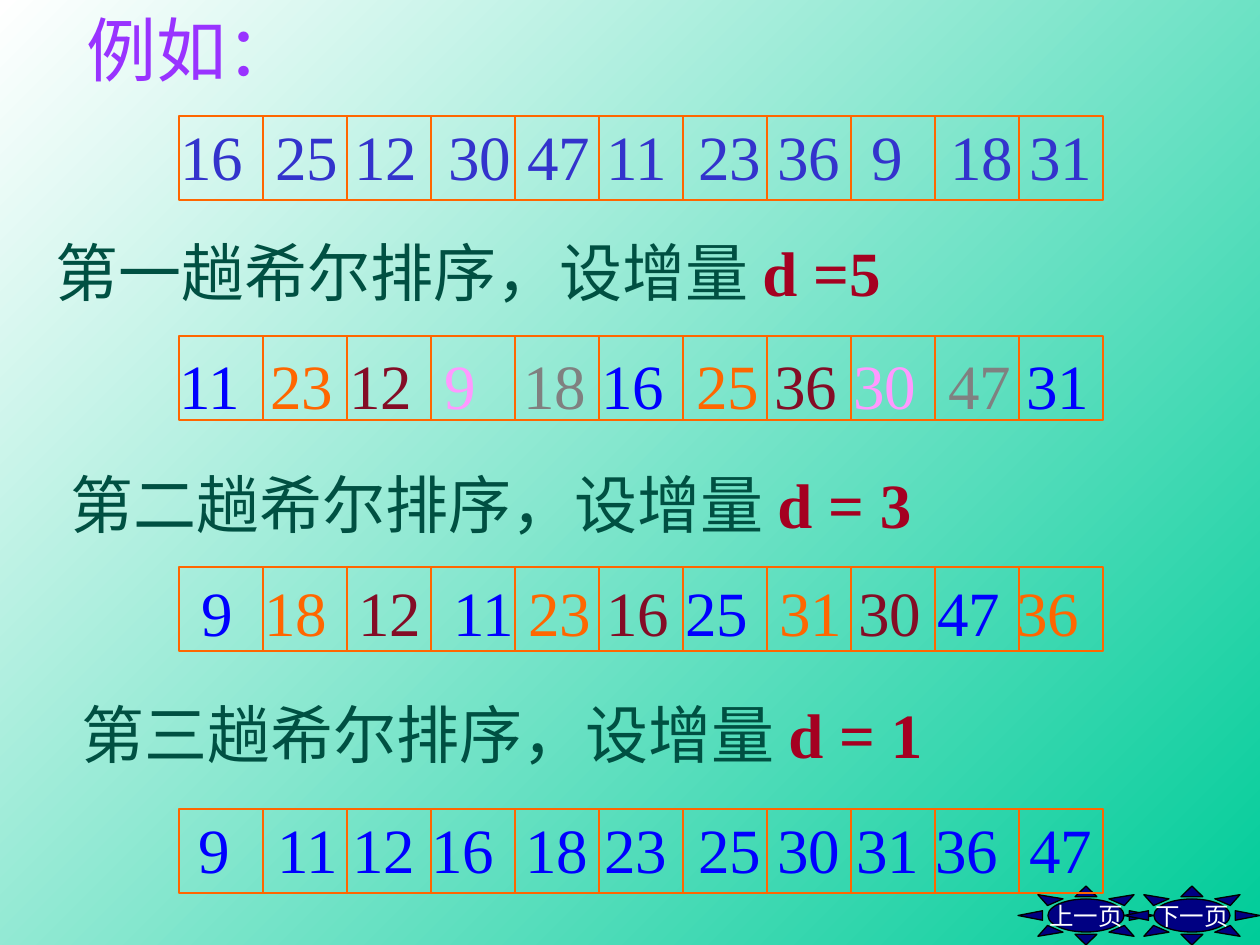
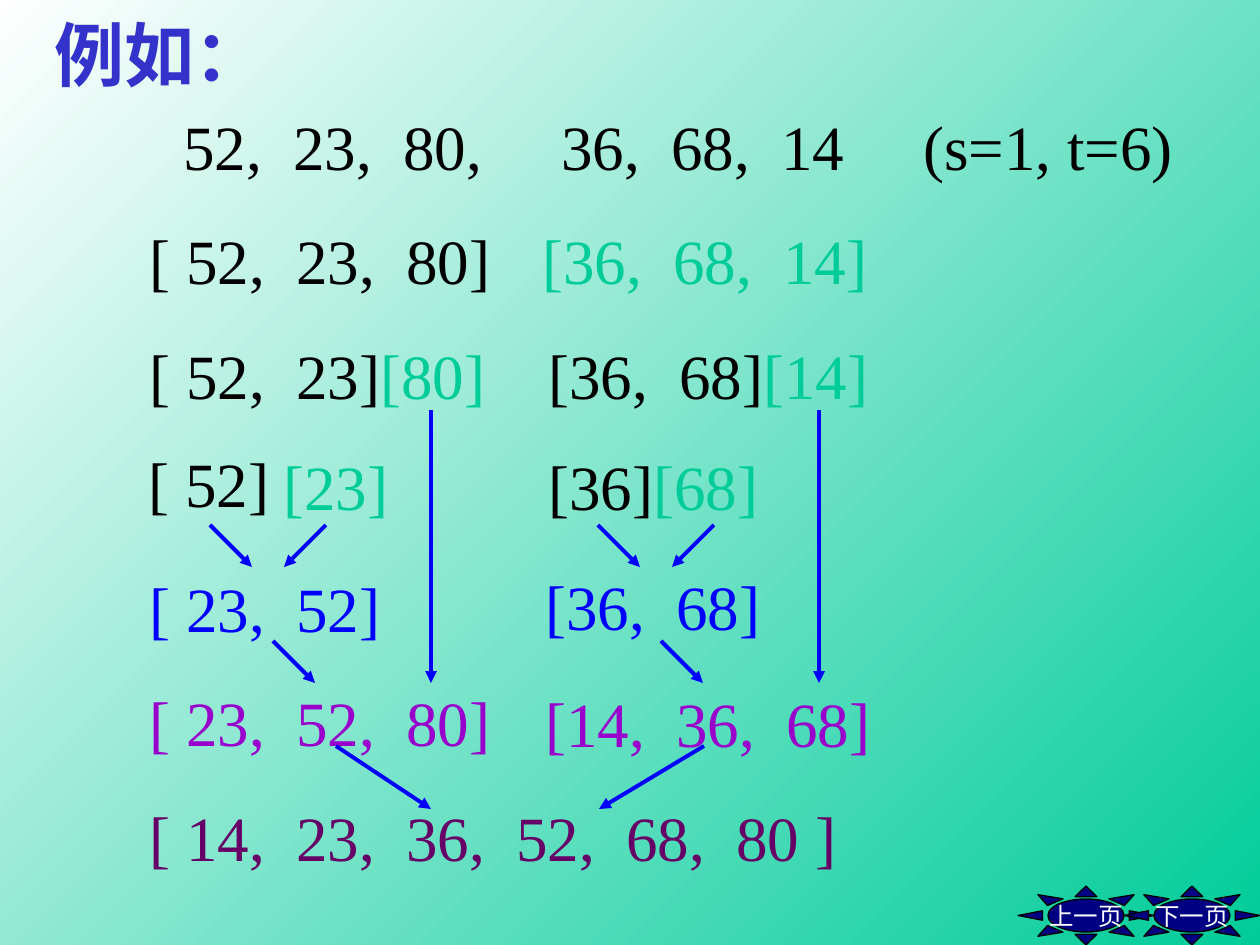
"""Build two slides that work through shell sort and merge sort examples."""
from dataclasses import dataclass

from lxml import etree
from pptx import Presentation
from pptx.dml.color import RGBColor
from pptx.enum.shapes import MSO_CONNECTOR, MSO_SHAPE
from pptx.enum.text import MSO_ANCHOR, PP_ALIGN
from pptx.oxml.ns import qn
from pptx.util import Emu, Pt

STRAIGHT = MSO_CONNECTOR.STRAIGHT
RECTANGLE, SUN = MSO_SHAPE.RECTANGLE, MSO_SHAPE.SUN
MIDDLE, CENTER = MSO_ANCHOR.MIDDLE, PP_ALIGN.CENTER
PIXELS_PER_INCH = 126
SLIDE_SIZE = (1260, 945)


@dataclass(frozen=True)
class Theme:
    """Colours and type sizes of the presentation."""
    font: str = "Times New Roman"
    title_size: int = 40
    body_size: int = 36
    button_size: int = 14
    white: str = "FFFFFF"
    black: str = "000000"
    green: str = "00CC99"
    navy: str = "000082"
    violet: str = "9933FF"
    indigo: str = "3333CC"
    blue: str = "0000FF"
    orange: str = "FF6600"
    maroon: str = "840C26"
    pink: str = "FF99FF"
    gray: str = "808080"
    pine: str = "005042"
    red: str = "A50021"
    purple: str = "9900CC"
    plum: str = "660066"


THEME = Theme()
BLUE, ORANGE, MAROON = THEME.blue, THEME.orange, THEME.maroon
PINK, GRAY, BLACK, GREEN = THEME.pink, THEME.gray, THEME.black, THEME.green

TITLE = "例如："
BUTTONS = [("上一页", 1018), ("下一页", 1124)]
BUTTON_TOP, BUTTON_WIDTH, BUTTON_HEIGHT = 886, 136, 59

CELL, GRID_LEFT = 84, 179
ARRAYS = [
    {"grid_top": 116, "text_top": 111,
     "numbers": [16, 25, 12, 30, 47, 11, 23, 36, 9, 18, 31],
     "starts": [181, 276, 355, 449, 528, 607, 699, 778, 872, 951, 1030],
     "colors": [THEME.indigo] * 11},
    {"grid_top": 336, "text_top": 340,
     "numbers": [11, 23, 12, 9, 18, 16, 25, 36, 30, 47, 31],
     "starts": [180, 271, 350, 445, 524, 602, 697, 775, 854, 949, 1027],
     "colors": [BLUE, ORANGE, MAROON, PINK, GRAY] * 2 + [BLUE]},
    {"grid_top": 567, "text_top": 567,
     "numbers": [9, 18, 12, 11, 23, 16, 25, 31, 30, 47, 36],
     "starts": [202, 265, 359, 454, 529, 607, 686, 780, 859, 938, 1017],
     "colors": [BLUE, ORANGE, MAROON] * 3 + [BLUE, ORANGE]},
    {"grid_top": 809, "text_top": 804,
     "numbers": [9, 11, 12, 16, 18, 23, 25, 30, 31, 36, 47],
     "starts": [199, 278, 353, 432, 526, 605, 699, 778, 857, 936, 1030],
     "colors": [BLUE] * 11},
]
PASSES = [
    ("第一趟希尔排序，设增量 ", "d =5", 43, 227),
    ("第二趟希尔排序，设增量 ", "d = 3", 58, 459),
    ("第三趟希尔排序，设增量 ", "d = 1", 69, 689),
]

NUMBER_PITCH = 110
SPACED, TIGHT = 147, 131
MERGE_TEXTS = [
    (171, 101, 1030, [110, 220, 378, 488, 598, 740],
     [("52,\t23,\t80,\t36,\t68,\t14\t(s=1, t=6)", BLACK)]),
    (137, 215, 750, [147, 257, 393, 524, 634],
     [("[ 52,\t23,\t80]", BLACK), ("\t[36,\t68,\t14]", GREEN)]),
    (137, 330, 370, SPACED, [("[ 52,\t23]", BLACK), ("[80]", GREEN)]),
    (136, 438, 158, SPACED, [("[ 52]", BLACK)]),
    (137, 563, 266, SPACED, [("[ 23,\t52]", BLUE)]),
    (137, 677, 376, SPACED, [("[ 23,\t52,\t80]", THEME.purple)]),
    (536, 330, 355, TIGHT, [("[36,\t68]", BLACK), ("[14]", GREEN)]),
    (536, 441, 244, TIGHT, [("[36]", BLACK), ("[68]", GREEN)]),
    (533, 561, 250, TIGHT, [("[36,\t68]", BLUE)]),
    (533, 678, 360, TIGHT, [("[14,\t36,\t68]", THEME.purple)]),
    (137, 792, 723, SPACED, [("[ 14,\t23,\t36,\t52,\t68,\t80 ]", THEME.plum)]),
    (271, 441, 140, TIGHT, [("[23]", GREEN)]),
]
HALF_OFFSETS = (0, 388)
HALF_ARROWS = [
    (210, 525, 252, 567), (326, 525, 284, 567),
    (273, 641, 315, 683), (431, 410, 431, 683),
]
FINAL_ARROWS = [(336, 746, 431, 809), (704, 746, 599, 809)]


def px(value):
    """Turn pixels into EMU."""
    return Emu(round(value * 914400 / PIXELS_PER_INCH))


def rgb(color):
    """Turn a hex string into a colour."""
    return RGBColor.from_string(color)


def add_run(paragraph, text, color, size=THEME.body_size, bold=False):
    """Append one styled run."""
    run = paragraph.add_run()
    run.text = text
    run.font.name = THEME.font
    run.font.size = Pt(size)
    run.font.bold = bold
    run.font.color.rgb = rgb(color)


def add_text(shapes, left, top, width, tab_stops=(), height=88):
    """Add a text box with tab stops and return its paragraph."""
    frame = shapes.add_textbox(px(left), px(top), px(width), px(height)).text_frame
    frame.word_wrap = True
    paragraph = frame.paragraphs[0]
    if tab_stops:
        properties = paragraph._p.get_or_add_pPr()
        tab_list = etree.SubElement(properties, qn("a:tabLst"))
        for stop in tab_stops:
            etree.SubElement(tab_list, qn("a:tab"), pos=str(px(stop)), algn="l")
    return paragraph


def add_line(shapes, ends, color, width, arrow=False):
    """Add a straight line, with an arrowhead at its end if asked."""
    connector = shapes.add_connector(STRAIGHT, *map(px, ends))
    connector.line.color.rgb = rgb(color)
    connector.line.width = Pt(width)
    if arrow:
        etree.SubElement(connector.line._get_or_add_ln(), qn("a:tailEnd"), type="triangle")
    etree.SubElement(connector._element.spPr, qn("a:effectLst"))


def add_button(shapes, label, left):
    """Add one sun-shaped navigation button."""
    shape = shapes.add_shape(SUN, px(left), px(BUTTON_TOP), px(BUTTON_WIDTH), px(BUTTON_HEIGHT))
    shape.adjustments[0] = 0.22
    shape.shadow.inherit = False
    shape.fill.solid()
    shape.fill.fore_color.rgb = rgb(THEME.navy)
    shape.line.color.rgb = rgb(THEME.black)
    shape.line.width = Pt(0.75)
    frame = shape.text_frame
    frame.word_wrap = False
    frame.vertical_anchor = MIDDLE
    frame.paragraphs[0].alignment = CENTER
    add_run(frame.paragraphs[0], label, THEME.white, THEME.button_size)


def add_base_slide(presentation, title_left, title_top, title_color, bold=False):
    """Add a slide with the shared background, buttons and title."""
    slide = presentation.slides.add_slide(presentation.slide_layouts[6])
    fill = slide.background.fill
    fill.gradient()
    fill.gradient_angle = 315
    for stop, position, color in zip(fill.gradient_stops, (0, 1), (THEME.white, THEME.green)):
        stop.position = position
        stop.color.rgb = rgb(color)
    for label, left in BUTTONS:
        add_button(slide.shapes, label, left)
    paragraph = add_text(slide.shapes, title_left, title_top, 250, height=97)
    add_run(paragraph, TITLE, title_color, THEME.title_size, bold)
    return slide


def add_array(slide, array):
    """Add one grouped array: frame, dividers and numbers."""
    shapes = slide.shapes.add_group_shape().shapes
    numbers, starts, top = array["numbers"], array["starts"], array["grid_top"]
    frame = shapes.add_shape(RECTANGLE, px(GRID_LEFT), px(top), px(CELL * len(numbers)), px(CELL))
    frame.shadow.inherit = False
    frame.fill.background()
    frame.line.color.rgb = rgb(ORANGE)
    frame.line.width = Pt(0.75)
    for column in range(1, len(numbers)):
        x = GRID_LEFT + column * CELL
        add_line(shapes, (x, top, x, top + CELL), ORANGE, 0.75)
    tab_stops = [start - starts[0] for start in starts[1:]]
    paragraph = add_text(shapes, starts[0] - 13, array["text_top"], 950, tab_stops)
    for index, (number, color) in enumerate(zip(numbers, array["colors"])):
        add_run(paragraph, f"\t{number}" if index else str(number), color)


def build_shell_sort(presentation):
    """Build the shell sort slide."""
    slide = add_base_slide(presentation, 74, 0, THEME.violet)
    for array in ARRAYS:
        add_array(slide, array)
    for label, increment, left, top in PASSES:
        paragraph = add_text(slide.shapes, left, top, 910)
        add_run(paragraph, label, THEME.pine)
        add_run(paragraph, increment, THEME.red, bold=True)


def build_merge_sort(presentation):
    """Build the merge sort slide."""
    slide = add_base_slide(presentation, 42, 5, THEME.indigo, bold=True)
    for left, top, width, tabs, runs in MERGE_TEXTS:
        if isinstance(tabs, int):
            count = sum(text.count("\t") for text, _ in runs)
            tabs = [tabs + NUMBER_PITCH * step for step in range(count)]
        paragraph = add_text(slide.shapes, left, top, width, tabs)
        for text, color in runs:
            add_run(paragraph, text, color)
    half_arrows = [(x1 + offset, y1, x2 + offset, y2)
                   for offset in HALF_OFFSETS for x1, y1, x2, y2 in HALF_ARROWS]
    for ends in half_arrows + FINAL_ARROWS:
        add_line(slide.shapes, ends, BLUE, 2.25, arrow=True)


def main():
    """Create and save the presentation."""
    presentation = Presentation()
    presentation.slide_width, presentation.slide_height = map(px, SLIDE_SIZE)
    build_shell_sort(presentation)
    build_merge_sort(presentation)
    presentation.save("out.pptx")


if __name__ == "__main__":
    main()
